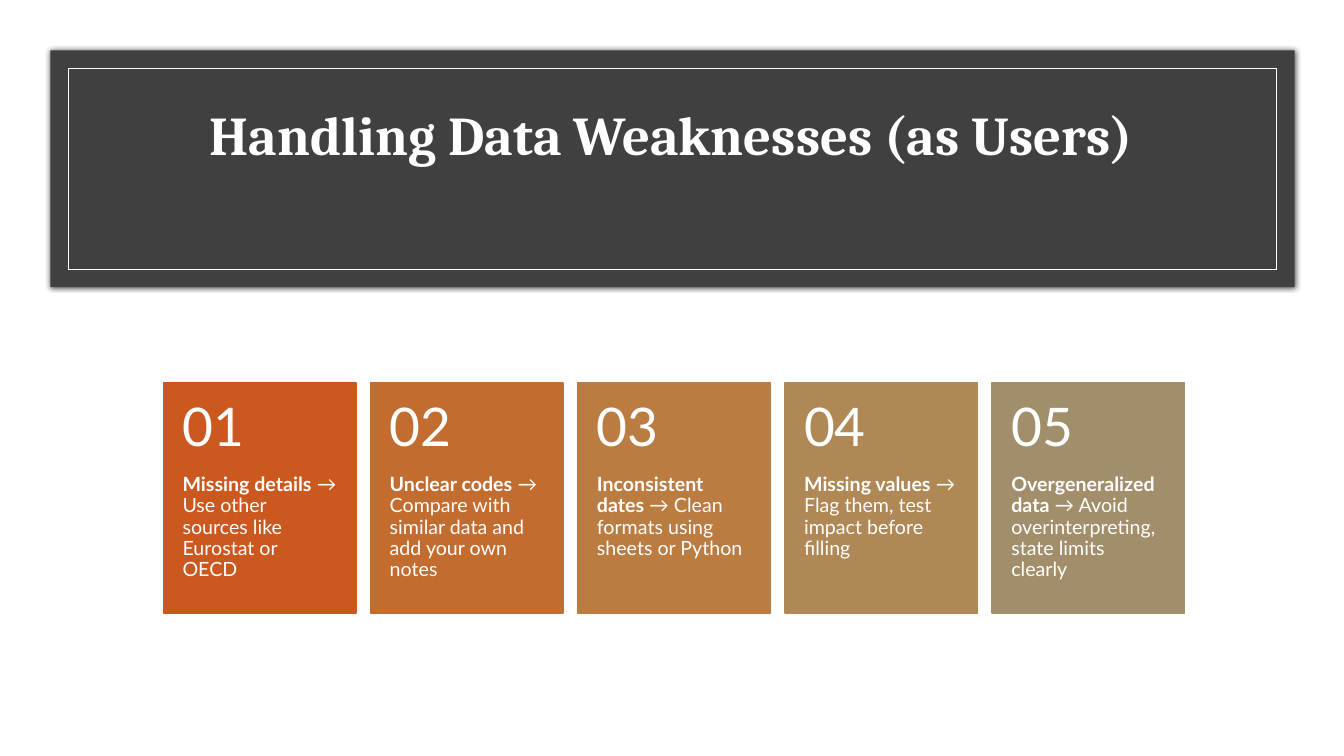
from lxml import etree
from pptx import Presentation
from pptx.dml.color import RGBColor
from pptx.enum.shapes import MSO_SHAPE
from pptx.enum.text import MSO_ANCHOR, PP_ALIGN
from pptx.oxml.ns import qn
from pptx.util import Inches, Pt

RECTANGLE = MSO_SHAPE.RECTANGLE
TOP, MIDDLE = MSO_ANCHOR.TOP, MSO_ANCHOR.MIDDLE
LEFT, CENTER = PP_ALIGN.LEFT, PP_ALIGN.CENTER

WHITE, CHARCOAL = "FFFFFF", "404040"
HEADING_FONT, BODY_FONT = "Cambria", "Lato"

GRID_LEFT, GRID_TOP = 1.62, 3.8
COLUMN_STEP, CARD_WIDTH = 2.055, 1.91
NUMBER_HEIGHT, DETAIL_HEIGHT = 0.91, 1.37

CARDS = [
    ("CB581F", "Missing details", "Use other sources like Eurostat or OECD"),
    ("C36C2F", "Unclear codes", "Compare with similar data and add your own notes"),
    ("BA7C41", "Inconsistent dates", "Clean formats using sheets or Python"),
    ("AF8855", "Missing values", "Flag them, test impact before filling"),
    ("A28E6A", "Overgeneralized data", "Avoid overinterpreting, state limits clearly"),
]


def color(hex_value):
    return RGBColor.from_string(hex_value)


def place(shape, left, top, width, height):
    shape.left, shape.top = Inches(left), Inches(top)
    shape.width, shape.height = Inches(width), Inches(height)


def write(shape, *runs, size, font=BODY_FONT, align=LEFT, anchor=TOP,
          insets=(0, 0, 0, 0)):
    """Fill a shape with one paragraph of (text, bold) runs; insets run left, top, right, bottom."""
    frame = shape.text_frame
    frame.word_wrap = True
    frame.vertical_anchor = anchor
    (frame.margin_left, frame.margin_top,
     frame.margin_right, frame.margin_bottom) = map(Inches, insets)
    paragraph = frame.paragraphs[0]
    paragraph.alignment = align
    paragraph.line_spacing = 0.9
    for text, bold in runs:
        run = paragraph.add_run()
        run.text = text
        run.font.name, run.font.size, run.font.bold = font, Pt(size), bold
        run.font.color.rgb = color(WHITE)


def add_rectangle(slide, *box, fill=None, line=None, line_width=1):
    shape = slide.shapes.add_shape(RECTANGLE, *map(Inches, box))
    shape.shadow.inherit = False
    if fill:
        shape.fill.solid()
        shape.fill.fore_color.rgb = color(fill)
    else:
        shape.fill.background()
    if line:
        shape.line.color.rgb = color(line)
        shape.line.width = Pt(line_width)
    else:
        shape.line.fill.background()
    return shape


def add_soft_shadow(shape):
    effects = shape.fill._xPr.find(qn("a:effectLst"))
    shadow = etree.SubElement(effects, qn("a:outerShdw"), blurRad=str(Pt(4)),
                              dist="0", dir="0", algn="ctr", rotWithShape="0")
    black = etree.SubElement(shadow, qn("a:srgbClr"), val="000000")
    etree.SubElement(black, qn("a:alpha"), val="66000")


def add_banner(slide, text):
    banner = add_rectangle(slide, 0.5, 0.5, 12.34, 2.35, fill=CHARCOAL)
    add_soft_shadow(banner)
    add_rectangle(slide, 0.68, 0.68, 11.98, 1.99, line=WHITE, line_width=0.5)
    title = slide.shapes.title
    place(title, 1.16, 0.92, 11, 1.5)
    write(title, (text, True), size=39, font=HEADING_FONT, align=CENTER,
          anchor=MIDDLE, insets=(0.1, 0.05, 0.1, 0.65))
    # Bring the title in front of the banner
    slide.shapes._spTree.append(title._element)


def add_card(slide, index, fill, topic, advice):
    left = GRID_LEFT + index * COLUMN_STEP
    add_rectangle(slide, left, GRID_TOP, CARD_WIDTH,
                  NUMBER_HEIGHT + DETAIL_HEIGHT, fill=fill, line=fill)
    detail = slide.shapes.add_textbox(0, 0, 0, 0)
    place(detail, left, GRID_TOP + NUMBER_HEIGHT, CARD_WIDTH, DETAIL_HEIGHT)
    write(detail, (topic, True), (f" → {advice}", False), size=14,
          insets=(0.19, 0, 0.19, 0.36))
    number = slide.shapes.add_textbox(0, 0, 0, 0)
    place(number, left, GRID_TOP, CARD_WIDTH, NUMBER_HEIGHT)
    write(number, (f"{index + 1:02}", False), size=38, anchor=MIDDLE,
          insets=(0.19, 0.18, 0.19, 0.18))


def main():
    presentation = Presentation()
    presentation.slide_width, presentation.slide_height = Inches(13.33), Inches(7.5)
    title_only = presentation.slide_layouts.get_by_name("Title Only")
    slide = presentation.slides.add_slide(title_only)
    slide.background.fill.solid()
    slide.background.fill.fore_color.rgb = color(WHITE)
    add_banner(slide, "Handling Data Weaknesses (as Users)")
    for index, card in enumerate(CARDS):
        add_card(slide, index, *card)
    presentation.save("out.pptx")


if __name__ == "__main__":
    main()
